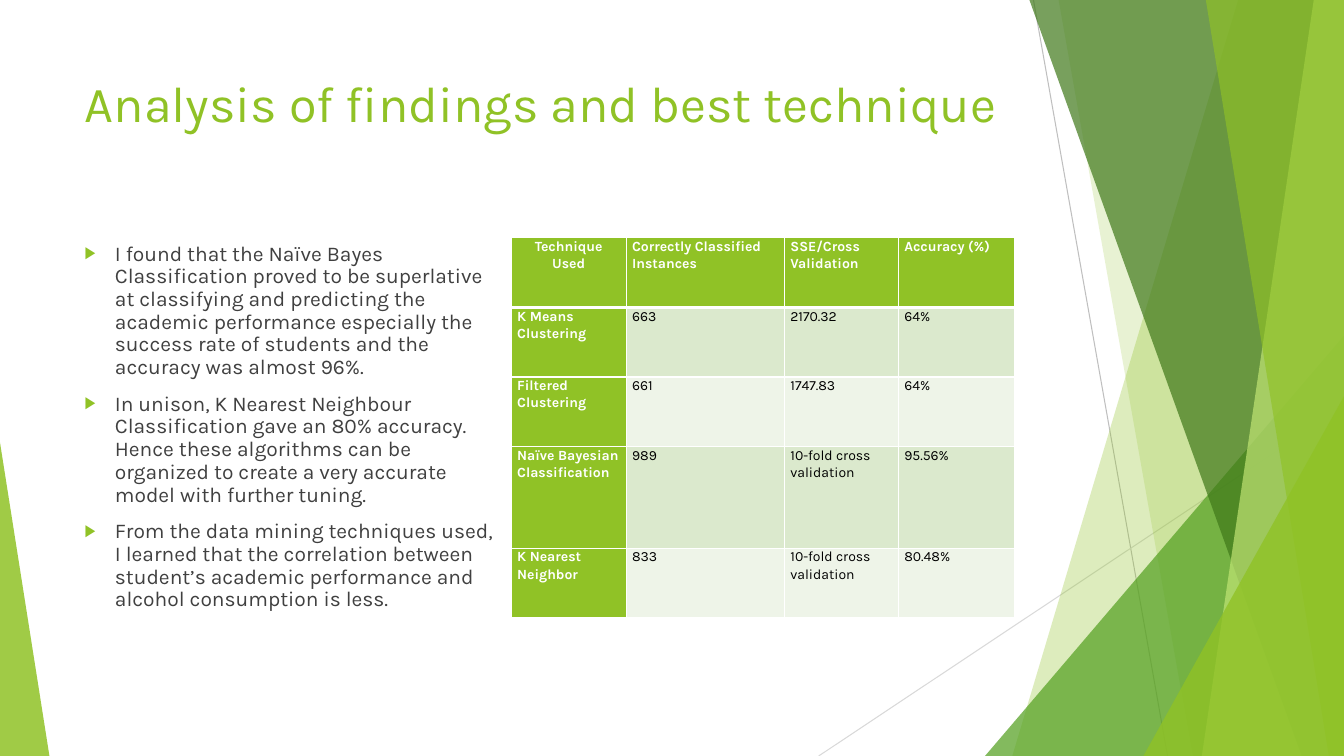
from lxml import etree
from pptx import Presentation
from pptx import util as u
from pptx.dml.color import RGBColor
from pptx.enum import shapes, text
from pptx.oxml.ns import qn

FONT = "Karla"
COLORS = {
    "lime": "90C226", "green": "54A021", "forest": "3F7819", "pale": "C0E474",
    "text": "404040", "black": "000000", "white": "FFFFFF",
    "band_dark": "DBE9CD", "band_light": "EEF4E8",
    "line_dark": "BFBFBF", "line_light": "D9D9D9",
}
TITLE = "Analysis of findings and best technique"
FINDINGS = [
    "I found that the Naïve Bayes Classification proved to be superlative at "
    "classifying and predicting the academic performance especially the success "
    "rate of students and the accuracy was almost 96%.",
    "In unison, K Nearest Neighbour Classification gave an 80% accuracy. Hence "
    "these algorithms can be organized to create a very accurate model with "
    "further tuning.",
    "From the data mining techniques used, I learned that the correlation between "
    "student’s academic performance and alcohol consumption is less.",
]
RESULTS = [
    ["Technique Used", "Correctly Classified Instances", "SSE/Cross Validation",
     "Accuracy (%)"],
    ["K Means Clustering", "663", "2170.32", "64%"],
    ["Filtered Clustering", "661", "1747.83", "64%"],
    ["Naïve Bayesian Classification", "989", "10-fold cross validation", "95.56%"],
    ["K Nearest Neighbor", "833", "10-fold cross validation", "80.48%"],
]
COL_WIDTHS = [1.14, 1.57, 1.13, 1.15]
ROW_HEIGHTS = [0.69, 0.69, 0.69, 1.01, 0.69]


def rgb(name):
    return RGBColor.from_string(COLORS[name])


def inches(*values):
    return [u.Inches(v) for v in values]


def place(sp, box):
    sp.left, sp.top, sp.width, sp.height = inches(*box)


def style_runs(p, size, color, bold=False):
    for r in p.runs:
        r.font.name = FONT
        r.font.size = u.Pt(size)
        r.font.bold = bold
        r.font.color.rgb = rgb(color)


def paint(sp, color, opacity):
    """Fill a shape with a see-through colour, without line or shadow."""
    sp.shadow.inherit = False
    sp.line.fill.background()
    sp.fill.solid()
    sp.fill.fore_color.rgb = rgb(color)
    clr = sp.fill._xPr.find(qn("a:solidFill"))[0]
    etree.SubElement(clr, qn("a:alpha"), val=str(opacity * 1000))


def add_line(s, start, end, color):
    line = s.shapes.add_connector(shapes.MSO_CONNECTOR.STRAIGHT,
                                  *inches(*start, *end))
    line.line.color.rgb = rgb(color)
    line.line.width = u.Pt(0.75)
    etree.SubElement(line._element.spPr, qn("a:effectLst"))


def add_shard(s, box, top_x, bottom_x, color, opacity):
    """Draw a full-height facet from a slanted left edge to the box's right side."""
    left, top, width, height = box
    right, bottom = left + width, top + height
    fb = s.shapes.build_freeform(*inches(top_x, top), scale=1.0)
    fb.add_line_segments([inches(right, top), inches(right, bottom),
                          inches(bottom_x, bottom)], close=True)
    paint(fb.convert_to_shape(), color, opacity)


def add_triangle(s, box, apex, color, opacity):
    sp = s.shapes.add_shape(shapes.MSO_SHAPE.ISOSCELES_TRIANGLE, *inches(*box))
    sp.adjustments[0] = apex
    paint(sp, color, opacity)


def add_facets(s, box):
    left, top, width, height = box
    right, bottom = left + width, top + height

    def corner(w, h):
        return right - w, bottom - h, w, h

    add_line(s, (10.25, top), (11.58, bottom), "line_dark")
    add_line(s, (right, 4.03), (8.12, bottom), "line_light")
    add_shard(s, box, 12.28, 10.04, "lime", 30)
    add_shard(s, box, 10.5, 11.83, "lime", 20)
    add_triangle(s, corner(3.56, 4.17), 1, "green", 72)
    add_shard(s, box, 10.21, 12.91, "forest", 70)
    add_shard(s, box, 13.03, 11.92, "pale", 70)
    add_shard(s, box, 11.96, 13.18, "lime", 65)
    add_triangle(s, corner(1.99, 3.57), 1, "lime", 80)
    add_triangle(s, (left, bottom - 3.11, 0.49, 3.11), 0, "lime", 85)


def fill_title(sp, box):
    place(sp, box)
    tf = sp.text_frame
    tf.text = TITLE
    tf.word_wrap = True
    tf.auto_size = text.MSO_AUTO_SIZE.NONE
    tf.vertical_anchor = text.MSO_ANCHOR.TOP
    p = tf.paragraphs[0]
    p.alignment = text.PP_ALIGN.LEFT
    style_runs(p, 36, "lime")


def add_bullet(p):
    pPr = p._p.get_or_add_pPr()
    pPr.set("marL", str(u.Inches(0.3)))
    pPr.set("indent", str(-u.Inches(0.3)))
    clr = etree.SubElement(pPr, qn("a:buClr"))
    etree.SubElement(clr, qn("a:srgbClr"), val=COLORS["lime"])
    etree.SubElement(pPr, qn("a:buSzPct"), val="80000")
    etree.SubElement(pPr, qn("a:buChar"), char="▶")


def fill_findings(sp, box):
    place(sp, box)
    tf = sp.text_frame
    tf.text = "\n".join(FINDINGS)
    tf.word_wrap = True
    tf.auto_size = text.MSO_AUTO_SIZE.NONE
    tf.vertical_anchor = text.MSO_ANCHOR.TOP
    for p in tf.paragraphs:
        p.alignment = text.PP_ALIGN.LEFT
        p.line_spacing = 0.9
        p.space_before = u.Pt(10)
        add_bullet(p)
        style_runs(p, 15, "text")


def set_borders(cell, top, bottom):
    """Give a cell white borders; top and bottom widths are in points."""
    tcPr = cell._tc.get_or_add_tcPr()
    sides = {"lnL": 1, "lnR": 1, "lnT": top, "lnB": bottom}
    for i, (side, width) in enumerate(sides.items()):
        ln = etree.Element(qn(f"a:{side}"), w=str(u.Pt(width)))
        fill = etree.SubElement(ln, qn("a:solidFill"))
        etree.SubElement(fill, qn("a:srgbClr"), val=COLORS["white"])
        tcPr.insert(i, ln)


def fill_cell(cell, value, row, col):
    heading = row == 0 or col == 0
    band = "band_dark" if row % 2 else "band_light"
    cell.fill.solid()
    cell.fill.fore_color.rgb = rgb("lime" if heading else band)
    set_borders(cell, 3 if row == 1 else 1, 3 if row == 0 else 1)
    cell.margin_left = cell.margin_right = u.Inches(0.06)
    cell.margin_top = cell.margin_bottom = 0
    cell.text = value
    p = cell.text_frame.paragraphs[0]
    p.line_spacing = 1.06
    p.alignment = (text.PP_ALIGN.CENTER if row == col == 0
                   else text.PP_ALIGN.LEFT)
    style_runs(p, 10, "white" if heading else "black", heading)


def add_results(s, box):
    table = s.shapes.add_table(len(RESULTS), len(COL_WIDTHS), *inches(*box)).table
    table.first_col = True
    for column, width in zip(table.columns, COL_WIDTHS):
        column.width = u.Inches(width)
    for row, height in zip(table.rows, ROW_HEIGHTS):
        row.height = u.Inches(height)
    for i, values in enumerate(RESULTS):
        for j, value in enumerate(values):
            fill_cell(table.cell(i, j), value, i, j)


def main():
    prs = Presentation()
    prs.slide_width, prs.slide_height = inches(13.33, 7.5)
    s = prs.slides.add_slide(prs.slide_layouts[1])
    add_facets(s, (0, 0, 13.33, 7.5))
    fill_title(s.shapes.title, (0.74, 0.67, 9.4, 1.44))
    fill_findings(s.placeholders[1], (0.74, 2.36, 4.33, 4.1))
    add_results(s, (5.07, 2.36, 4.98, 3.76))
    prs.save("out.pptx")


if __name__ == "__main__":
    main()
